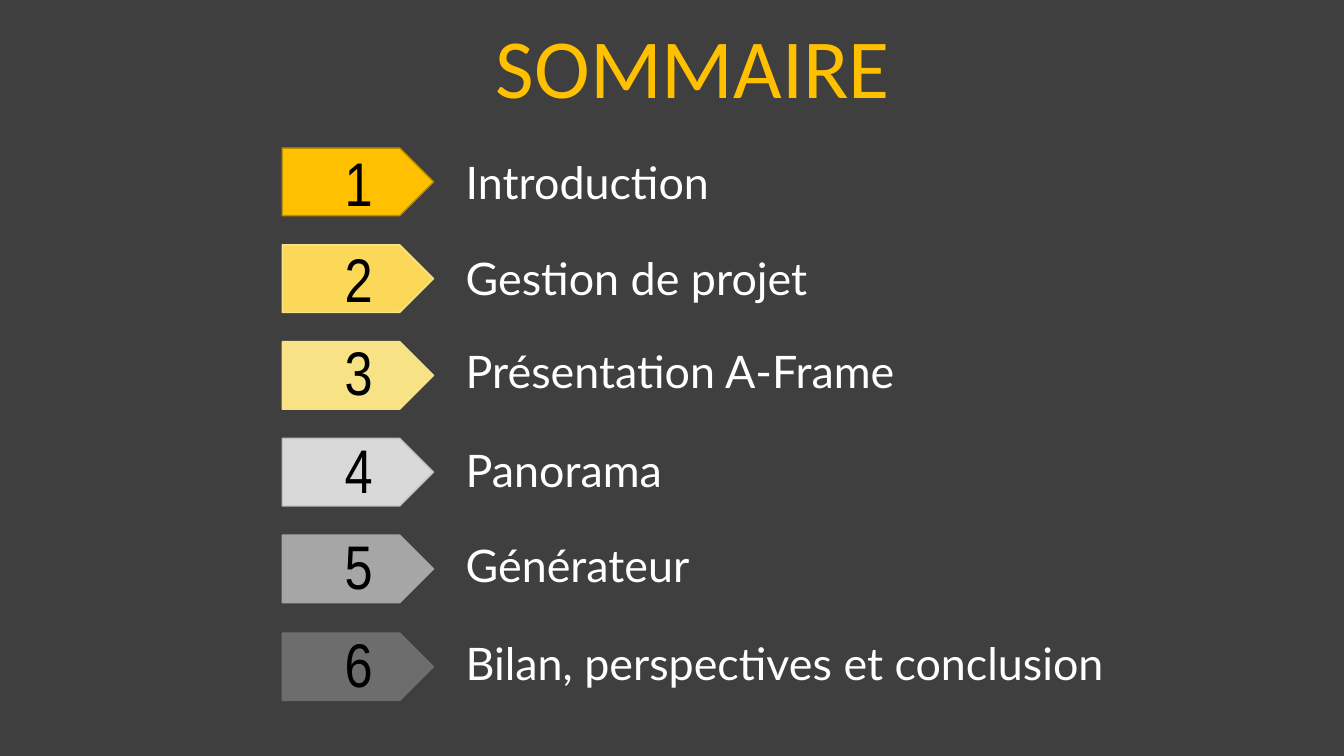
from pptx import Presentation
from pptx import util as u
from pptx.dml.color import RGBColor
from pptx.enum import shapes, text

PX = 9144  # EMU per px, 100 px to the inch

DARK = RGBColor(0x3F, 0x3F, 0x3F)
BLACK = RGBColor(0, 0, 0)
WHITE = RGBColor(0xFF, 0xFF, 0xFF)
GOLD = RGBColor(0xFF, 0xC0, 0x00)
OCHRE = RGBColor(0xBD, 0x8E, 0x00)
AMBER = RGBColor(0xFB, 0xD8, 0x58)
CREAM = RGBColor(0xF7, 0xE2, 0x85)
PALE = RGBColor(0xD9, 0xD9, 0xD9)
SILVER = RGBColor(0xBF, 0xBF, 0xBF)
GREY = RGBColor(0xA6, 0xA6, 0xA6)
SLATE = RGBColor(0x6D, 0x6D, 0x6D)

# Chapter, label top, label width, tag fill, tag line
ROWS = [
    ("Introduction", 149, 648, GOLD, OCHRE),
    ("Gestion de projet", 244, 648, AMBER, CREAM),
    ("Présentation A-Frame", 336, 648, CREAM, CREAM),
    ("Panorama", 434, 648, PALE, SILVER),
    ("Générateur", 529, 648, GREY, GREY),
    ("Bilan, perspectives et conclusion", 626, 723, SLATE, SLATE),
]
FIRST, LAST = 147, 628  # tops of the first and last tags


def box(px):
    return [n * PX for n in px]


def add_text(slide, words, place, size, font, color):
    frame = slide.shapes.add_textbox(*box(place)).text_frame
    frame.word_wrap = True
    frame.auto_size = text.MSO_AUTO_SIZE.SHAPE_TO_FIT_TEXT
    frame.text = words
    face = frame.paragraphs[0].runs[0].font
    face.size, face.name = u.Pt(size), font
    face.color.rgb = color
    return frame


def add_title(slide, words):
    frame = add_text(slide, words, (99, -11, 1177, 132), 60, "Calibri", GOLD)
    frame.auto_size = text.MSO_AUTO_SIZE.NONE
    frame.vertical_anchor = text.MSO_ANCHOR.BOTTOM
    para = frame.paragraphs[0]
    para.alignment = text.PP_ALIGN.CENTER
    para.line_spacing = 0.9


def add_tag(slide, top, fill, line):
    tag = slide.shapes.add_shape(
        shapes.MSO_SHAPE.PENTAGON, *box((280, top, 150, 67)))
    tag.shadow.inherit = False
    tag.fill.solid()
    tag.fill.fore_color.rgb = fill
    tag.line.color.rgb = line
    tag.line.width = u.Pt(1)


def main():
    deck = Presentation()
    deck.slide_width, deck.slide_height = box((1333, 750))
    slide = deck.slides.add_slide(deck.slide_layouts[6])
    slide.background.fill.solid()
    slide.background.fill.fore_color.rgb = DARK

    # Heading
    add_title(slide, "SOMMAIRE")

    # Numbered chapters
    for i, (name, top, width, fill, line) in enumerate(ROWS):
        add_tag(slide, FIRST + i * (LAST - FIRST) // (len(ROWS) - 1), fill, line)
        add_text(slide, str(i + 1), (332, top - 10, 44, 84), 44,
                 "Arial Narrow", BLACK)
        add_text(slide, name, (452, top, width, 64), 32, "Lato", WHITE)

    deck.save("out.pptx")


if __name__ == "__main__":
    main()
